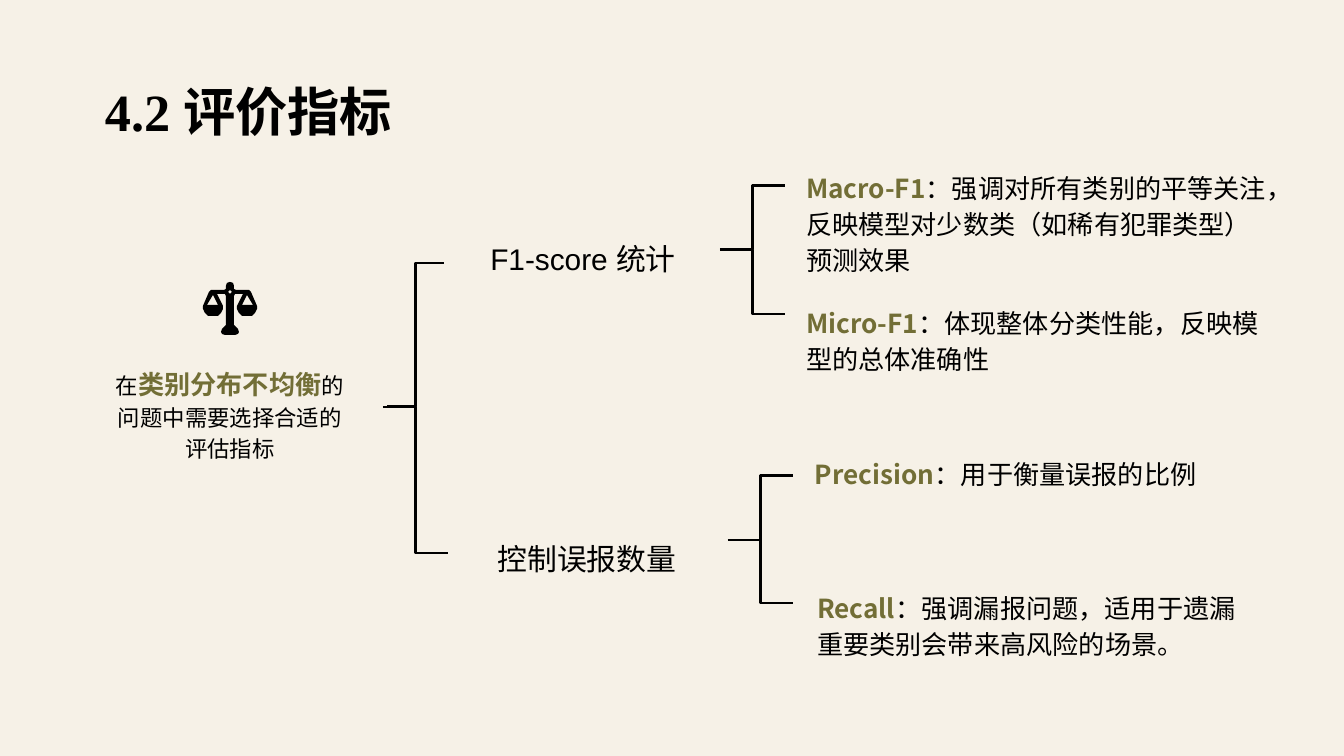
from lxml.etree import SubElement
from pptx import Presentation
from pptx.dml.color import RGBColor
from pptx.enum.shapes import MSO_CONNECTOR as Connector, MSO_SHAPE as Shape
from pptx.enum.text import MSO_ANCHOR as Anchor, PP_ALIGN as Align
from pptx.oxml.ns import qn
from pptx.util import Pt

SCALE = 914400 / 134.4
CREAM = RGBColor(0xF6, 0xF1, 0xE7)
BLACK = RGBColor(0, 0, 0)
OLIVE = RGBColor(0x72, 0x6E, 0x36)
SANS = "Noto Sans CJK SC"


def px(length):
    return round(length * SCALE)


def write_box(box, spans, align, anchor=Anchor.TOP, spacing=1.0, inset=13):
    frame = box.text_frame
    frame.word_wrap = True
    frame.vertical_anchor = anchor
    frame.margin_left = frame.margin_right = px(inset)
    frame.margin_top = frame.margin_bottom = px(inset)
    para = frame.paragraphs[0]
    para.alignment = align
    para.line_spacing = spacing
    for text, size, font, color, bold in spans:
        span = para.add_run()
        span.text = text
        span.font.size = Pt(size)
        span.font.name = font
        span.font.color.rgb = color
        span.font.bold = bold


deck = Presentation()
deck.slide_width, deck.slide_height = px(1344), px(756)
page = deck.slides.add_slide(deck.slide_layouts[6])
page.background.fill.solid()
page.background.fill.fore_color.rgb = CREAM

title = page.shapes.add_textbox(px(105), px(79), px(1134), px(63))
write_box(title, [("4.2 评价指标", 28, "Times New Roman", BLACK, True)], Align.LEFT, inset=0)

intro = page.shapes.add_textbox(px(97), px(351), px(266), px(116))
intro_spans = [
    ("在", 12, "Arial", BLACK, False),
    ("类别分布不均衡", 14, "Arial", OLIVE, True),
    ("的问题中需要选择合适的评估指标", 12, "Arial", BLACK, False),
]
write_box(intro, intro_spans, Align.CENTER, spacing=1.15)

branches = [
    ("F1-score 统计", "Arial", 448, 226, 270, 64),
    ("控制误报数量", SANS, 456, 515, 262, 75),
]
metrics = [
    ("Macro-F1", "：强调对所有类别的平等关注，反映模型对少数类（如稀有犯罪类型）预测效果", 793, 155, 497, 122),
    ("Micro-F1", "：体现整体分类性能，反映模型的总体准确性", 793, 290, 484, 99),
    ("Precision", "：用于衡量误报的比例", 802, 441, 458, 54),
    ("Recall", "：强调漏报问题，适用于遗漏重要类别会带来高风险的场景。", 804, 575, 466, 113),
]
labels = [
    ([(text, 16, font, BLACK, False)], Align.CENTER, Anchor.BOTTOM, 1.0, area)
    for text, font, *area in branches
] + [
    ([(name, 14, SANS, OLIVE, True), (text, 14, "Arial", BLACK, False)],
     Align.LEFT, Anchor.TOP, 1.15, area)
    for name, text, *area in metrics
]
for spans, align, anchor, spacing, area in labels:
    label = page.shapes.add_shape(Shape.ROUNDED_RECTANGLE, *map(px, area))
    label.adjustments[0] = 0
    label.shadow.inherit = False
    label.fill.background()
    label.line.fill.background()
    write_box(label, spans, align, anchor, spacing)

brackets = [
    (387, 407, 444, 263), (383, 407, 448, 553),
    (720, 250, 785, 186), (720, 250, 785, 314),
    (728, 540, 793, 476), (728, 540, 793, 603),
]
for ends in brackets:
    bracket = page.shapes.add_connector(Connector.ELBOW, *map(px, ends))
    bracket.line.color.rgb = BLACK
    bracket.line.width = Pt(1.5)
    SubElement(bracket._element.spPr, qn("a:effectLst"))

AXIS = 230
half_scales = [
    (0, 282), (3, 283), (4, 286), (4, 289), (6, 290), (19, 290), (21, 292),
    (27, 306), (27, 309), (25, 313), (22, 316), (12, 316), (9, 313), (7, 309),
    (7, 306), (13, 294), (5, 294), (4, 296), (4, 325), (8, 329), (9, 332),
    (8, 334), (5, 335), (0, 335),
]
pan_gap = [(17, 295), (12, 305), (23, 305)]
pivot = [(0, 290), (2, 292), (0, 294), (-2, 292)]
outline = half_scales + [(-x, y) for x, y in reversed(half_scales[1:-1])]
holes = [pan_gap, [(-x, y) for x, y in pan_gap], pivot]

builder = page.shapes.build_freeform(AXIS, 282, scale=SCALE)
builder.add_line_segments([(AXIS + x, y) for x, y in outline[1:]], close=True)
for hole in holes:
    points = [(AXIS + x, y) for x, y in hole]
    builder.move_to(*points[0])
    builder.add_line_segments(points[1:], close=True)
scales = builder.convert_to_shape()
scales.shadow.inherit = False
scales.fill.solid()
scales.fill.fore_color.rgb = BLACK
scales.line.fill.background()

deck.save("out.pptx")
